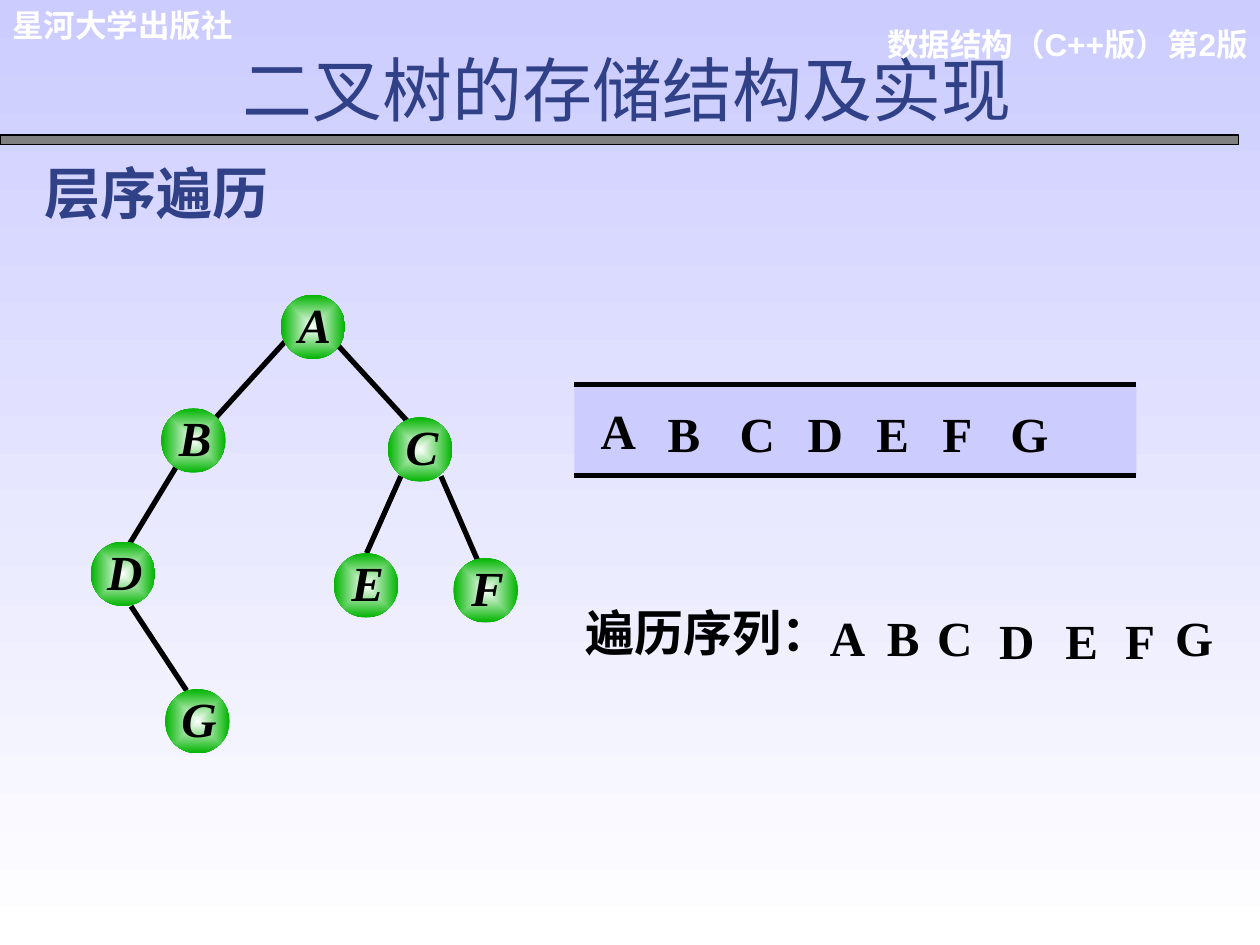
from lxml import etree
from pptx import Presentation
from pptx import util as u
from pptx.dml import color
from pptx.enum import shapes, text
from pptx.oxml import ns

SANS, SERIF, LATIN = "Noto Sans CJK SC", "Times New Roman", "Arial"
NAVY, BLACK, WHITE, GREEN = "314187", "000000", "FFFFFF", "00B400"
LILAC, GRAY = "CCCCFF", "808080"
ALIGN = text.PP_ALIGN
MIDDLE, TOP = text.MSO_ANCHOR.MIDDLE, text.MSO_ANCHOR.TOP

HEADING = dict(name=SANS, size=u.Pt(40), bold=False)
SUBTITLE = dict(name=SANS, size=u.Pt(32), bold=True)
HEADER = dict(name=LATIN, size=u.Pt(18), bold=True)
LETTER = dict(name=SERIF, size=u.Pt(28), bold=True)
NODE_LETTER = dict(LETTER, italic=True)

NODE_SIZE = 1.3
NODES = dict(A=(5.66, 5.94), B=(3.25, 8.23), C=(7.82, 8.41), D=(1.83, 10.92),
             E=(6.73, 11.15), F=(9.14, 11.25), G=(3.33, 13.89))
EDGES = [
    (5.77, 6.86, 4.34, 8.43),    # A-B
    (6.81, 6.96, 8.23, 8.51),    # A-C
    (3.56, 9.4, 2.62, 10.95),    # B-D
    (2.64, 12.22, 3.76, 13.92),  # D-G
    (8.08, 9.6, 7.39, 11.15),    # C-E
    (8.89, 9.6, 9.63, 11.3),     # C-F
]
QUEUE = dict(A=(11.86, 7.95), B=(13.21, 8), C=(14.66, 8), D=(16.03, 8),
             E=(17.42, 8), F=(18.75, 8), G=(20.12, 8))
SEQUENCE = dict(A=(16.48, 12.12), B=(17.63, 12.12), C=(18.64, 12.12),
                D=(19.89, 12.17), E=(21.23, 12.17), F=(22.43, 12.17),
                G=(23.44, 12.12))


def rgb(value):
    return color.RGBColor.from_string(value)


def cm(*values):
    return [u.Cm(value) for value in values]


class Painter:
    """Holds the slide and the place where new elements go."""

    def __init__(self, page):
        self.page = page
        self.target = page.shapes

    def start_group(self):
        self.target = self.page.shapes.add_group_shape().shapes

    def end_group(self):
        self.target = self.page.shapes

    def gradient(self, fill, first, last):
        fill.gradient()
        for stop, value in zip(fill.gradient_stops, (first, last)):
            stop.color.rgb = rgb(value)

    def background(self, first, last):
        fill = self.page.background.fill
        self.gradient(fill, first, last)
        fill.gradient_angle = 270

    def set_text(self, box, words, font, ink, align=ALIGN.LEFT, anchor=MIDDLE,
                 insets=(0.25, 0.13, 0.25, 0.13)):
        left, top, right, bottom = cm(*insets)
        frame = box.text_frame
        settings = dict(word_wrap=True, auto_size=text.MSO_AUTO_SIZE.NONE,
                        vertical_anchor=anchor, margin_left=left, margin_top=top,
                        margin_right=right, margin_bottom=bottom)
        for key, value in settings.items():
            setattr(frame, key, value)
        para = frame.paragraphs[0]
        para.alignment = align
        span = para.add_run()
        span.text = words
        for key, value in font.items():
            setattr(span.font, key, value)
        span.font.color.rgb = rgb(ink)
        east = etree.SubElement(span.font._element, ns.qn("a:ea"))
        east.set("typeface", SANS)

    def title(self, words, place):
        box = self.page.shapes.title
        box.left, box.top, box.width, box.height = cm(*place)
        self.set_text(box, words, HEADING, NAVY, ALIGN.CENTER)

    def label(self, words, place, font, ink=BLACK, **layout):
        box = self.target.add_textbox(*cm(*place))
        self.set_text(box, words, font, ink, **layout)

    def shape(self, kind, place, fill=None, line=None):
        item = self.target.add_shape(kind, *cm(*place))
        item.shadow.inherit = False
        if fill:
            item.fill.solid()
            item.fill.fore_color.rgb = rgb(fill)
        if line:
            item.line.color.rgb = rgb(line)
            item.line.width = u.Pt(0.75)
        else:
            item.line.fill.background()
        return item

    def line(self, ends):
        item = self.target.add_connector(shapes.MSO_CONNECTOR.STRAIGHT, *cm(*ends))
        item.line.color.rgb = rgb(BLACK)
        item.line.width = u.Pt(3)
        etree.SubElement(item._element.spPr, ns.qn("a:effectLst"))

    def node(self, letter, x, y):
        disc = self.shape(shapes.MSO_SHAPE.OVAL, (x, y, NODE_SIZE, NODE_SIZE))
        self.gradient(disc.fill, WHITE, GREEN)
        # Let the gradient spread from the centre
        grad = disc._element.spPr.find(ns.qn("a:gradFill"))
        linear = grad.find(ns.qn("a:lin"))
        spread = etree.Element(ns.qn("a:path"))
        spread.set("path", "rect")
        centre = etree.SubElement(spread, ns.qn("a:fillToRect"))
        for side in "ltrb":
            centre.set(side, "50000")
        grad.replace(linear, spread)
        self.label(letter, (x + 0.14, y - 0.11, 1.09, 1.7), NODE_LETTER,
                   align=ALIGN.CENTER, anchor=TOP, insets=(0, 0.1, 0, 0))

    def letters(self, places):
        for letter, (x, y) in places.items():
            self.label(letter, (x, y, 1.32, 1.45), LETTER)


def main():
    deck = Presentation()
    deck.slide_width, deck.slide_height = cm(25.4, 19.05)
    painter = Painter(deck.slides.add_slide(deck.slide_layouts[5]))

    # Background, header and title
    painter.background(LILAC, WHITE)
    painter.label("数据结构（C++版）第2版", (17.5, 0, 7.9, 1.78), HEADER, WHITE,
                  align=ALIGN.RIGHT)
    painter.label("星河大学出版社", (0, 0, 6.88, 1.02), HEADER, WHITE)
    painter.shape(shapes.MSO_SHAPE.RECTANGLE, (0, 2.72, 24.97, 0.2), GRAY, BLACK)
    painter.title("二叉树的存储结构及实现", (0.43, 0.81, 24.43, 1.96))
    painter.label("层序遍历", (0.64, 3.05, 14.81, 1.63), SUBTITLE, NAVY)

    # Binary tree
    painter.start_group()
    for ends in EDGES:
        painter.line(ends)
    for letter, (x, y) in NODES.items():
        painter.node(letter, x, y)
    painter.end_group()

    # Queue
    painter.shape(shapes.MSO_SHAPE.RECTANGLE, (11.58, 7.8, 11.33, 1.78), LILAC)
    for y in (7.75, 9.58):
        painter.line((11.58, y, 22.91, y))
    painter.letters(QUEUE)

    # Traversal sequence
    painter.label("遍历序列：", (11.56, 12.01, 12.55, 1.45), LETTER)
    painter.letters(SEQUENCE)

    deck.save("out.pptx")


if __name__ == "__main__":
    main()
